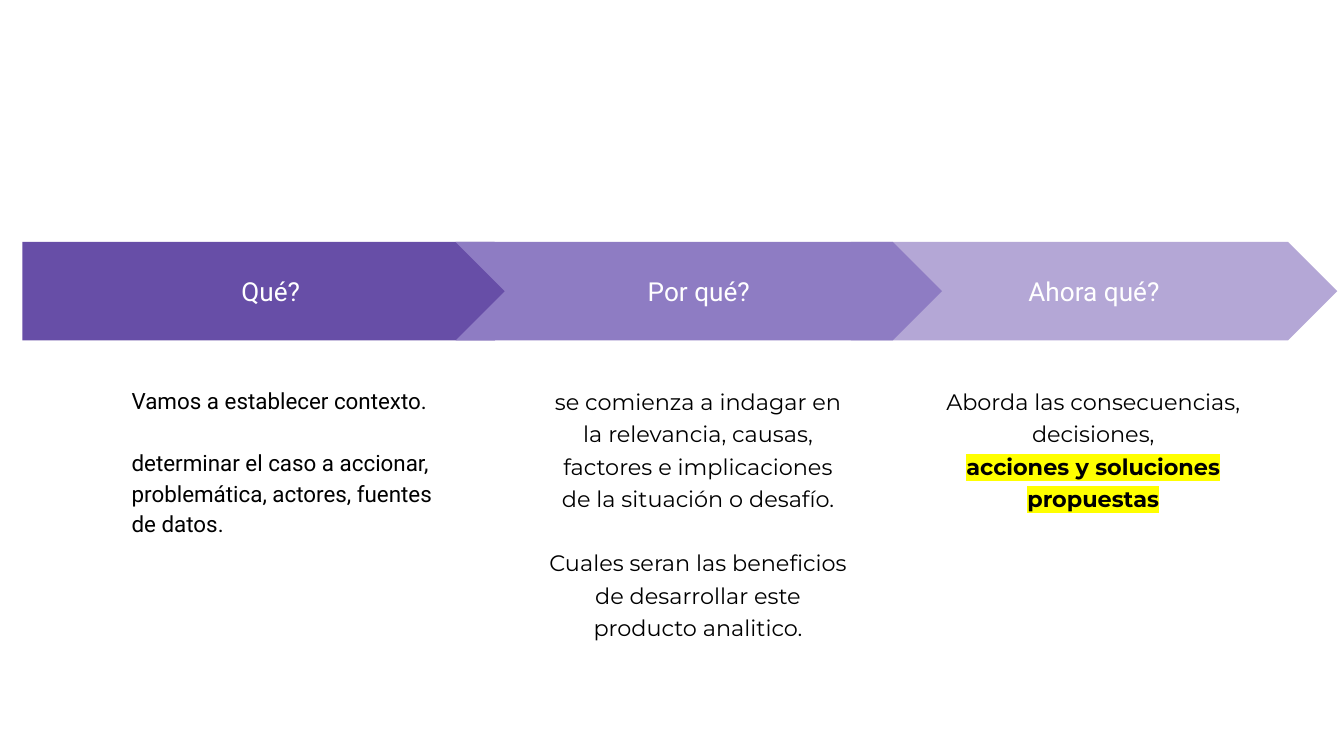
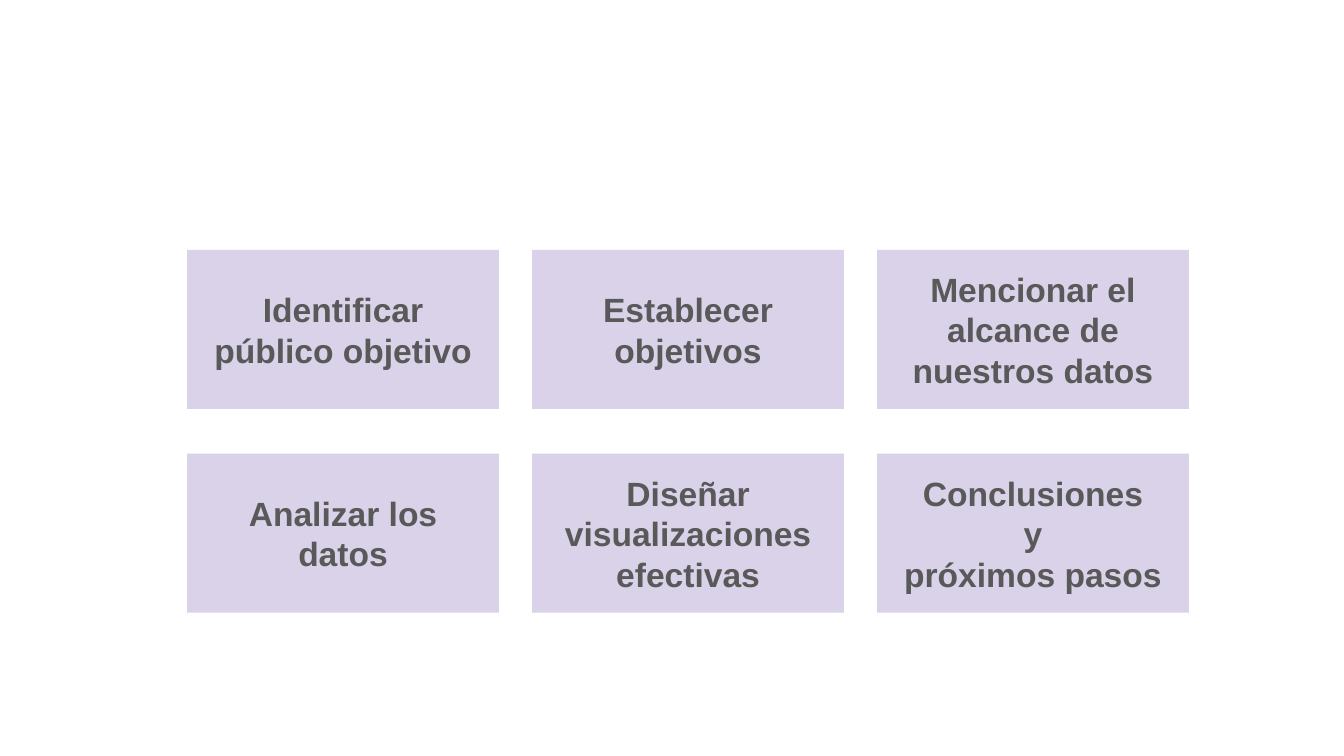
from lxml import etree
from pptx import Presentation
from pptx.dml.color import RGBColor
from pptx.enum import shapes, text
from pptx.oxml import ns
from pptx.util import Pt

WHITE, BLACK, GREY, LILAC, YELLOW = "FFFFFF", "000000", "595959", "D9D2E9", "FFFF00"
CENTER, LEFT = text.PP_ALIGN.CENTER, text.PP_ALIGN.LEFT
CHEVRON, PENTAGON = shapes.MSO_SHAPE.CHEVRON, shapes.MSO_SHAPE.PENTAGON


def rgb(value):
    return RGBColor.from_string(value)


def write(sp, lines, font, size, color, align=CENTER, bold=False):
    tf = sp.text_frame
    tf.word_wrap = True
    tf.margin_left = tf.margin_right = tf.margin_top = tf.margin_bottom = Pt(7.2)
    tf.text = "\n".join(lines)
    for p in tf.paragraphs:
        p.alignment = align
        for r in p.runs:
            r.font.name, r.font.size, r.font.bold = font, Pt(size), bold
            r.font.color.rgb = rgb(color)
    return tf


prs = Presentation()
prs.slide_width, prs.slide_height = Pt(720), Pt(405)
blank = prs.slide_layouts[6]

s = prs.slides.add_slide(blank)
steps = [
    ("Ahora qué?", CHEVRON, 455.8, 260.6, "B4A7D6", 497.5, "Montserrat", CENTER, 1.2, 0,
     ["Aborda las consecuencias, decisiones,", "acciones y soluciones propuestas"]),
    ("Qué?", PENTAGON, 12, 279.4, "674EA7", 63.4, "Roboto", LEFT, 1.15, 16.5,
     ["Vamos a establecer contexto.",
      "determinar el caso a accionar, problemática, actores, fuentes de datos."]),
    ("Por qué?", CHEVRON, 244.1, 260.6, "8E7CC3", 285.8, "Montserrat", CENTER, 1.2, 17.3,
     ["se comienza a indagar en la relevancia, causas, factores e implicaciones "
      "de la situación o desafío.",
      "Cuales seran las beneficios de desarrollar este producto analitico."]),
]
for label, kind, x, w, fill, body_x, font, align, spacing, gap, lines in steps:
    group = s.shapes.add_group_shape()
    arrow = group.shapes.add_shape(kind, Pt(x), Pt(129.6), Pt(w), Pt(52.8))
    arrow.shadow.inherit = False
    arrow.fill.solid()
    arrow.fill.fore_color.rgb = rgb(fill)
    arrow.line.fill.background()
    write(arrow, [label], "Roboto", 14, WHITE).vertical_anchor = text.MSO_ANCHOR.MIDDLE
    body = group.shapes.add_textbox(Pt(body_x), Pt(198), Pt(176.4), Pt(206))
    tf = write(body, lines, font, 12, BLACK, align)
    for p in tf.paragraphs:
        p.line_spacing = spacing
    tf.paragraphs[1].space_before = Pt(gap)
    if label == "Ahora qué?":
        r = tf.paragraphs[1].runs[0]
        r.font.bold = True
        mark = etree.Element(ns.qn("a:highlight"))
        etree.SubElement(mark, ns.qn("a:srgbClr"), val=YELLOW)
        r.font._element.find(ns.qn("a:solidFill")).addnext(mark)

s = prs.slides.add_slide(blank)
tasks = [
    ["Identificar público objetivo"],
    ["Establecer objetivos"],
    ["Mencionar el alcance de nuestros datos"],
    ["Analizar los datos"],
    ["Diseñar visualizaciones efectivas"],
    ["Conclusiones", "y", "próximos pasos"],
]
for i, lines in enumerate(tasks):
    row, col = divmod(i, 3)
    card = s.shapes.add_shape(shapes.MSO_SHAPE.RECTANGLE, Pt(100.3 + 184.8 * col),
                              Pt(133.9 + 109.2 * row), Pt(167), Pt(85.2))
    card.shadow.inherit = False
    card.fill.solid()
    card.fill.fore_color.rgb = rgb(LILAC)
    card.line.fill.background()
    tf = write(card, lines, "Arial", 18, GREY, bold=True)
    tf.vertical_anchor = text.MSO_ANCHOR.MIDDLE

prs.save("out.pptx")
